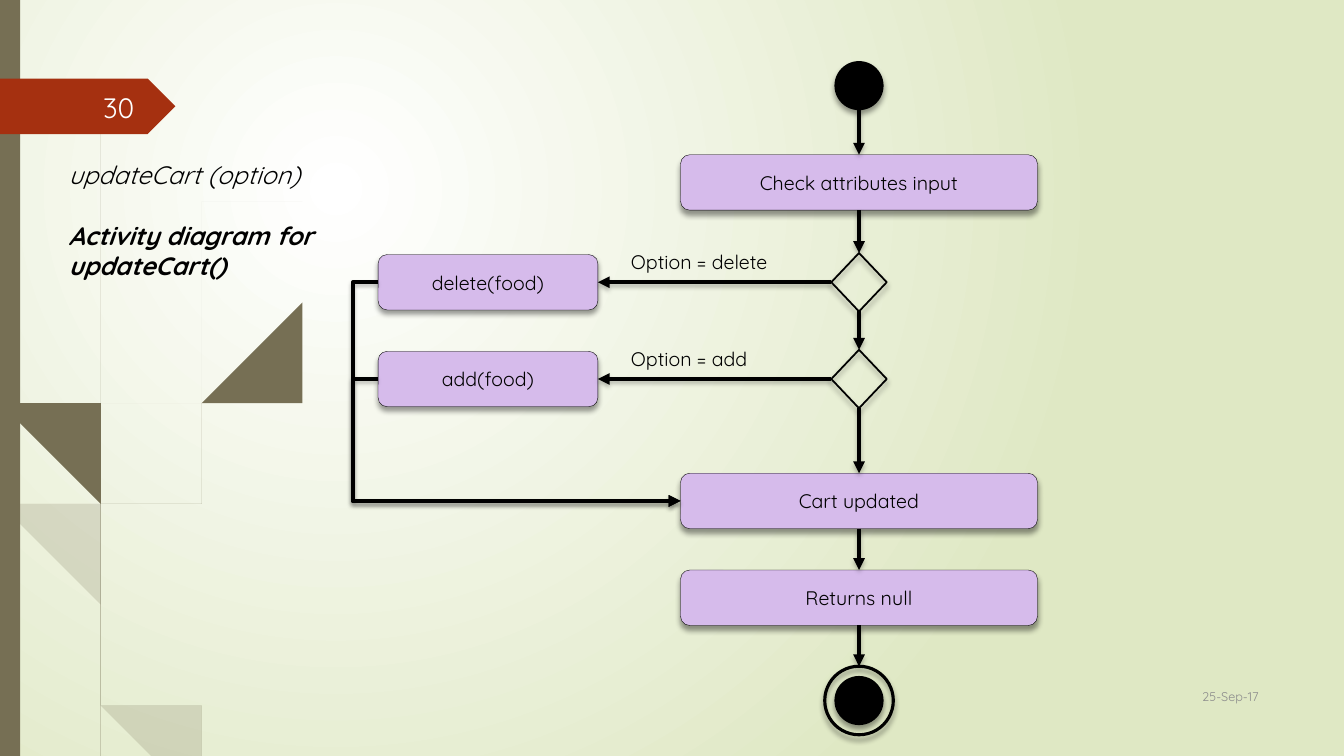
"""Build the activity diagram slide for updateCart()."""
import dataclasses

import lxml.etree
import pptx
import pptx.dml.color
import pptx.enum.dml
import pptx.enum.shapes
import pptx.enum.text
import pptx.oxml.ns
import pptx.util

Inches = pptx.util.Inches
SHAPE = pptx.enum.shapes.MSO_SHAPE
ALIGN = pptx.enum.text.PP_ALIGN
ANCHOR = pptx.enum.text.MSO_ANCHOR
CONNECTOR = pptx.enum.shapes.MSO_CONNECTOR
TOP, LEFT, BOTTOM, RIGHT = range(4)


@dataclasses.dataclass(frozen=True)
class Theme:
    font: str = "Quicksand"
    black: str = "000000"
    white: str = "FFFFFF"
    meadow: str = "DFE8C4"
    stem: str = "766F54"
    badge: str = "A53010"
    action: str = "D6BBEB"
    date: str = "8C8C8C"
    title_size: float = 18
    number_size: float = 20
    label_size: float = 14
    date_size: float = 9


THEME = Theme()
AXIS = 8.52
DELETE_ROW, ADD_ROW, CART_ROW = 2.8, 3.76, 4.97

PALE_STEMS = [
    [(0, 0, 2.82), (0.09, 0.11, 3.45), (0.28, 0.31, 4.7), (0.65, 0.7, 6.2),
     (0.92, 0.96, 6.92), (1.14, 1.19, 7.5)],
    [(0.14, 0.14, 3.45), (0.29, 0.33, 4.3), (0.58, 0.62, 5.21), (0.84, 0.88, 5.97),
     (1.23, 1.27, 6.93), (1.5, 1.55, 7.5)],
    [(3.12, 3.12, 1.53), (2.28, 2.29, 2.45), (1.58, 1.6, 3.48), (1.07, 1.1, 4.62),
     (0.85, 0.88, 5.84), (0.87, 0.91, 6.46), (1.03, 1.05, 7.1), (1.19, 1.24, 7.5)],
]
DARK_STEMS = [
    [(0.03, 0.04, 0), (0.07, 0.08, 1.1), (0.17, 0.19, 2.33), (0.33, 0.36, 3.55),
     (0.55, 0.58, 4.65), (0.68, 0.72, 5.57), (0.93, 0.98, 6.58), (1.27, 1.36, 7.5)],
    [(0.7, 0.7, 1.41), (0.56, 0.58, 2.45), (0.52, 0.54, 3.49), (0.55, 0.58, 4.5),
     (0.88, 0.93, 5.91), (1.06, 1.1, 6.43), (1.32, 1.36, 7.07), (1.52, 1.57, 7.5)],
    [(2.6, 2.61, 3.44), (2.04, 2.05, 4.05), (1.56, 1.58, 4.75), (1.22, 1.25, 5.51),
     (1.06, 1.11, 6.32), (1.1, 1.16, 6.91), (1.31, 1.36, 7.5)],
]


def rgb(color):
    return pptx.dml.color.RGBColor.from_string(color)


def add_xml(parent, tag, **attributes):
    child = lxml.etree.SubElement(parent, pptx.oxml.ns.qn(tag))
    for name, value in attributes.items():
        child.set(name, str(value))
    return child


def set_shadow(effects, opacity, blur, distance):
    shadow = add_xml(effects, "a:outerShdw", blurRad=pptx.util.Pt(blur),
                     dist=pptx.util.Pt(distance), dir=5400000, rotWithShape=0)
    color = add_xml(shadow, "a:srgbClr", val=THEME.black)
    add_xml(color, "a:alpha", val=opacity * 1000)


def set_font(para, size, color, bold=False, italic=False):
    for span in para.runs:
        span.font.name = THEME.font
        span.font.size = pptx.util.Pt(size)
        span.font.color.rgb = rgb(color)
        span.font.bold = bold
        span.font.italic = italic


def paint_background(page):
    fill = page.background.fill
    fill.gradient()
    for stop, color in zip(fill.gradient_stops, (THEME.white, THEME.meadow)):
        stop.color.rgb = rgb(color)
    gradient = page.background._cSld.bg.bgPr.find(pptx.oxml.ns.qn("a:gradFill"))
    gradient.remove(gradient.find(pptx.oxml.ns.qn("a:lin")))
    center = add_xml(gradient, "a:path")
    center.set("path", "circle")
    add_xml(center, "a:fillToRect", l=50000, t=50000, r=100000, b=100000)


def smooth(points, steps=8):
    """Return points along a Catmull-Rom curve through the given ones."""
    padded = [points[0], *points, points[-1]]
    curve = []
    for a, b, c, d in zip(padded, padded[1:], padded[2:], padded[3:]):
        for step in range(steps):
            t = step / steps
            curve.append(tuple(
                (2 * q + (r - p) * t + (2 * p - 5 * q + 4 * r - s) * t ** 2
                 + (3 * q - p - 3 * r + s) * t ** 3) / 2
                for p, q, r, s in zip(a, b, c, d)))
    return curve + [points[-1]]


def add_stem(page, sections, opacity):
    curve = smooth(sections)
    outline = [(left, y) for left, _, y in curve]
    outline += [(right, y) for _, right, y in reversed(curve)]
    builder = page.shapes.build_freeform(*outline[0], scale=Inches(1))
    builder.add_line_segments(outline[1:])
    stem = builder.convert_to_shape()
    paint(stem, THEME.stem)
    color = stem.fill._xPr.find(".//" + pptx.oxml.ns.qn("a:srgbClr"))
    add_xml(color, "a:alpha", val=opacity * 1000)


def paint(shape, fill=None, line_width=0):
    shape.shadow.inherit = False
    if fill:
        shape.fill.solid()
        shape.fill.fore_color.rgb = rgb(fill)
    else:
        shape.fill.background()
    if line_width:
        shape.line.color.rgb = rgb(THEME.black)
        shape.line.width = pptx.util.Pt(line_width)
    else:
        shape.line.fill.background()


def add_block(page, kind, left, top, width, height, fill):
    block = page.shapes.add_shape(kind, *map(Inches, (left, top, width, height)))
    paint(block, fill)
    return block


def add_node(page, kind, x, y, width, height, fill, line_width):
    """Add a shadowed diagram shape centred on x, y."""
    node = add_block(page, kind, x - width / 2, y - height / 2, width, height, fill)
    paint(node, fill, line_width)
    set_shadow(node._element.spPr.find(pptx.oxml.ns.qn("a:effectLst")), 40, 4, 3)
    return node


def add_action(page, text, x, y, width):
    action = add_node(page, SHAPE.FLOWCHART_ALTERNATE_PROCESS, x, y, width, 0.55,
                      THEME.action, 0.25)
    action.text_frame.text = text
    action.text_frame.vertical_anchor = ANCHOR.MIDDLE
    para = action.text_frame.paragraphs[0]
    para.alignment = ALIGN.CENTER
    set_font(para, THEME.label_size, THEME.black)
    return action


def add_text(page, text, left, top, width, height, size, color, align=ALIGN.LEFT):
    box = page.shapes.add_textbox(*map(Inches, (left, top, width, height)))
    box.text_frame.word_wrap = True
    box.text_frame.vertical_anchor = ANCHOR.MIDDLE
    box.text_frame.text = text
    para = box.text_frame.paragraphs[0]
    para.alignment = align
    set_font(para, size, color)


def add_arrow(page, source, source_side, target, target_side, kind=CONNECTOR.STRAIGHT):
    arrow = page.shapes.add_connector(kind, source.left + source.width // 2,
                                      source.top + source.height, 0, 0)
    if source_side is not None:
        arrow.begin_connect(source, source_side)
    arrow.end_connect(target, target_side)
    arrow.line.color.rgb = rgb(THEME.black)
    arrow.line.width = pptx.util.Pt(2.8)
    add_xml(arrow.line._get_or_add_ln(), "a:tailEnd", type="triangle")
    set_shadow(add_xml(arrow._element.spPr, "a:effectLst"), 25, 3, 2)
    return arrow


def add_return(page, source, target):
    arrow = add_arrow(page, source, LEFT, target, LEFT, CONNECTOR.ELBOW)
    guides = arrow._element.spPr.find(".//" + pptx.oxml.ns.qn("a:avLst"))
    add_xml(guides, "a:gd", name="adj1", fmla="val -8300")


def set_title(page):
    title = page.shapes.title
    title.left, title.top, title.width, title.height = map(Inches, (0.58, 1.53, 3.41, 1.31))
    frame = title.text_frame
    frame.text = "updateCart (option)\nActivity diagram for updateCart()"
    frame.auto_size = pptx.enum.text.MSO_AUTO_SIZE.NONE
    frame.vertical_anchor = ANCHOR.TOP
    for para, bold in zip(frame.paragraphs, (False, True)):
        para.alignment = ALIGN.LEFT
        para.space_before = pptx.util.Pt(22 if bold else 0)
        set_font(para, THEME.title_size, THEME.black, bold, italic=True)


def add_diagram(page):
    start = add_node(page, SHAPE.FLOWCHART_CONNECTOR, AXIS, 0.85, 0.47, 0.47, THEME.black, 1.25)
    check, cart, result = [
        add_action(page, text, AXIS, y, 3.54)
        for text, y in (("Check attributes input", 1.81), ("Cart updated", CART_ROW),
                        ("Returns null", 5.93))]
    add_node(page, SHAPE.FLOWCHART_CONNECTOR, AXIS, 6.95, 0.47, 0.47, THEME.black, 1.25)
    ring = add_node(page, SHAPE.FLOWCHART_CONNECTOR, AXIS, 6.95, 0.68, 0.68, None, 2.25)
    choices = []
    for name, y in (("delete", DELETE_ROW), ("add", ADD_ROW)):
        choice = add_node(page, SHAPE.DIAMOND, AXIS, y, 0.55, 0.58, None, 1.25)
        action = add_action(page, f"{name}(food)", 4.84, y, 2.18)
        add_text(page, f"Option = {name}", 6.16, y - 0.37, 2.36, 0.34,
                 THEME.label_size, THEME.black)
        add_arrow(page, choice, LEFT, action, RIGHT)
        add_return(page, action, cart)
        choices.append(choice)
    add_arrow(page, start, None, check, TOP)
    steps = [check, *choices, cart, result, ring]
    for source, target in zip(steps, steps[1:]):
        add_arrow(page, source, BOTTOM, target, TOP)


def main():
    deck = pptx.Presentation()
    deck.slide_width, deck.slide_height = Inches(13.33), Inches(7.5)
    page = deck.slides.add_slide(deck.slide_layouts[5])
    paint_background(page)
    for stems, opacity in ((PALE_STEMS, 20), (DARK_STEMS, 100)):
        for sections in stems:
            add_stem(page, sections, opacity)
    add_block(page, SHAPE.RECTANGLE, 0, 0, 0.2, 7.5, THEME.stem)
    add_block(page, SHAPE.PENTAGON, 0, 0.78, 1.74, 0.55, THEME.badge)
    add_text(page, "30", 0.58, 0.86, 0.85, 0.4, THEME.number_size, THEME.white, ALIGN.RIGHT)
    add_text(page, "25-Sep-17", 11.33, 6.7, 1.25, 0.41, THEME.date_size, THEME.date, ALIGN.RIGHT)
    set_title(page)
    add_diagram(page)
    deck.save("out.pptx")


if __name__ == "__main__":
    main()
